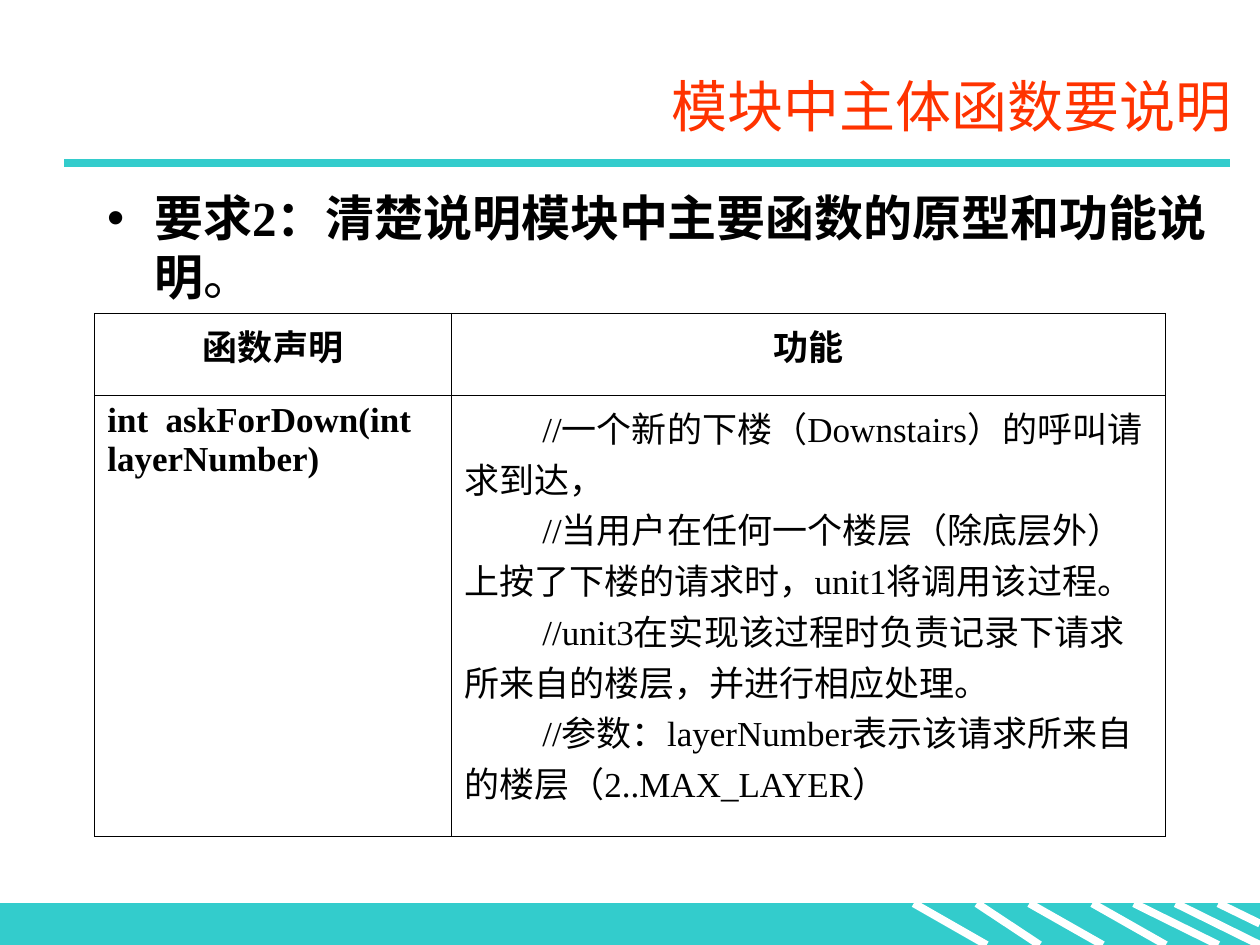
from lxml.etree import SubElement
from pptx import Presentation
from pptx.dml.color import RGBColor
from pptx.enum.shapes import MSO_CONNECTOR, MSO_SHAPE
from pptx.enum.text import MSO_ANCHOR, PP_ALIGN
from pptx.oxml.ns import qn
from pptx.util import Cm, Pt

TEAL = RGBColor(0x33, 0xCC, 0xCC)
WHITE = RGBColor(0xFF, 0xFF, 0xFF)
BLACK = RGBColor(0x00, 0x00, 0x00)
ORANGE = RGBColor(0xFF, 0x33, 0x00)
FONT = "Times New Roman"


def set_font(paragraph, size, color, bold=False):
    paragraph.font.name = FONT
    paragraph.font.size = Pt(size)
    paragraph.font.bold = bold
    paragraph.font.color.rgb = color


def add_line(shapes, x1, y1, x2, y2, color):
    line = shapes.add_connector(MSO_CONNECTOR.STRAIGHT, Cm(x1), Cm(y1), Cm(x2), Cm(y2))
    line.line.color.rgb = color
    line.line.width = Pt(4.5)
    SubElement(line._element.spPr, qn("a:effectLst"))


presentation = Presentation()
presentation.slide_width = Cm(25.4)
presentation.slide_height = Cm(19.05)
slide = presentation.slides.add_slide(presentation.slide_layouts[5])
shapes = slide.shapes

# Footer band with slanted stripes
band_top, band_bottom = 18.21, 19.05
band = shapes.add_shape(MSO_SHAPE.RECTANGLE, 0, Cm(band_top), Cm(25.4), Cm(band_bottom - band_top))
band.shadow.inherit = False
band.fill.solid()
band.fill.fore_color.rgb = TEAL
band.line.color.rgb = TEAL
band.line.width = Pt(0.75)

stripes = [(18.42, 19.89), (19.69, 20.96), (20.75, 22.23), (22.02, 23.5),
           (22.86, 24.56), (23.7, 25.4)]
for start, end in stripes:
    add_line(shapes, start, band_top, end, band_bottom, WHITE)
add_line(shapes, 24.56, band_top, 25.4, 18.62, WHITE)

# Title and the rule below it
title = shapes.title
title.left, title.top, title.width, title.height = Cm(3.51), Cm(1.12), Cm(21.59), Cm(2.01)
title.text_frame.text = "模块中主体函数要说明"
title.text_frame.vertical_anchor = MSO_ANCHOR.MIDDLE
title.text_frame.paragraphs[0].alignment = PP_ALIGN.RIGHT
set_font(title.text_frame.paragraphs[0], 32, ORANGE)
add_line(shapes, 1.3, 3.28, 24.79, 3.28, TEAL)

# Function table
header = ["函数声明", "功能"]
declaration = ["int  askForDown(int layerNumber)"]
description = [
    "//一个新的下楼（Downstairs）的呼叫请求到达，",
    "//当用户在任何一个楼层（除底层外）上按了下楼的请求时，unit1将调用该过程。",
    "//unit3在实现该过程时负责记录下请求所来自的楼层，并进行相应处理。",
    "//参数：layerNumber表示该请求所来自的楼层（2..MAX_LAYER）",
]
rows = [[[text] for text in header], [declaration, description]]
table = shapes.add_table(2, 2, Cm(1.91), Cm(6.32), Cm(21.59), Cm(10.54)).table
for column, width in zip(table.columns, (7.19, 14.4)):
    column.width = Cm(width)
for row, height in zip(table.rows, (1.65, 8.89)):
    row.height = Cm(height)

for row_index, row in enumerate(rows):
    for column_index, lines in enumerate(row):
        cell = table.cell(row_index, column_index)
        cell.text = "\n".join(lines)
        for paragraph in cell.text_frame.paragraphs:
            set_font(paragraph, 20, BLACK, bold=lines is not description)
            if lines is not declaration:
                paragraph.line_spacing = Pt(29)
            if row_index == 0:
                paragraph.alignment = PP_ALIGN.CENTER
            if lines is description:
                paragraph._p.get_or_add_pPr().set("indent", str(Cm(1.58)))
        # Borders come before the fill in the cell properties
        properties = cell._tc.get_or_add_tcPr()
        for side in ("lnL", "lnR", "lnT", "lnB"):
            border = SubElement(properties, qn(f"a:{side}"), w=str(Pt(1)))
            fill = SubElement(border, qn("a:solidFill"))
            SubElement(fill, qn("a:srgbClr"), val=str(BLACK))
        cell.fill.background()

# Requirement bullet
requirement = shapes.add_textbox(Cm(1.91), Cm(3.66), Cm(22.81), Cm(1.85))
requirement.text_frame.word_wrap = True
paragraph = requirement.text_frame.paragraphs[0]
paragraph.add_run().text = "要求2：清楚说明模块中主要函数的原型和功能说明"
full_stop = paragraph.add_run()
full_stop.text = "。"
full_stop.font.bold = False
paragraph.line_spacing = Pt(33.7)
paragraph.space_before = Pt(5.6)
properties = paragraph._p.get_or_add_pPr()
properties.set("marL", str(Cm(0.95)))
properties.set("indent", str(-Cm(0.95)))
SubElement(properties, qn("a:buFont"), typeface="Arial")
SubElement(properties, qn("a:buChar"), char="•")
set_font(paragraph, 28, BLACK, bold=True)

presentation.save("out.pptx")
